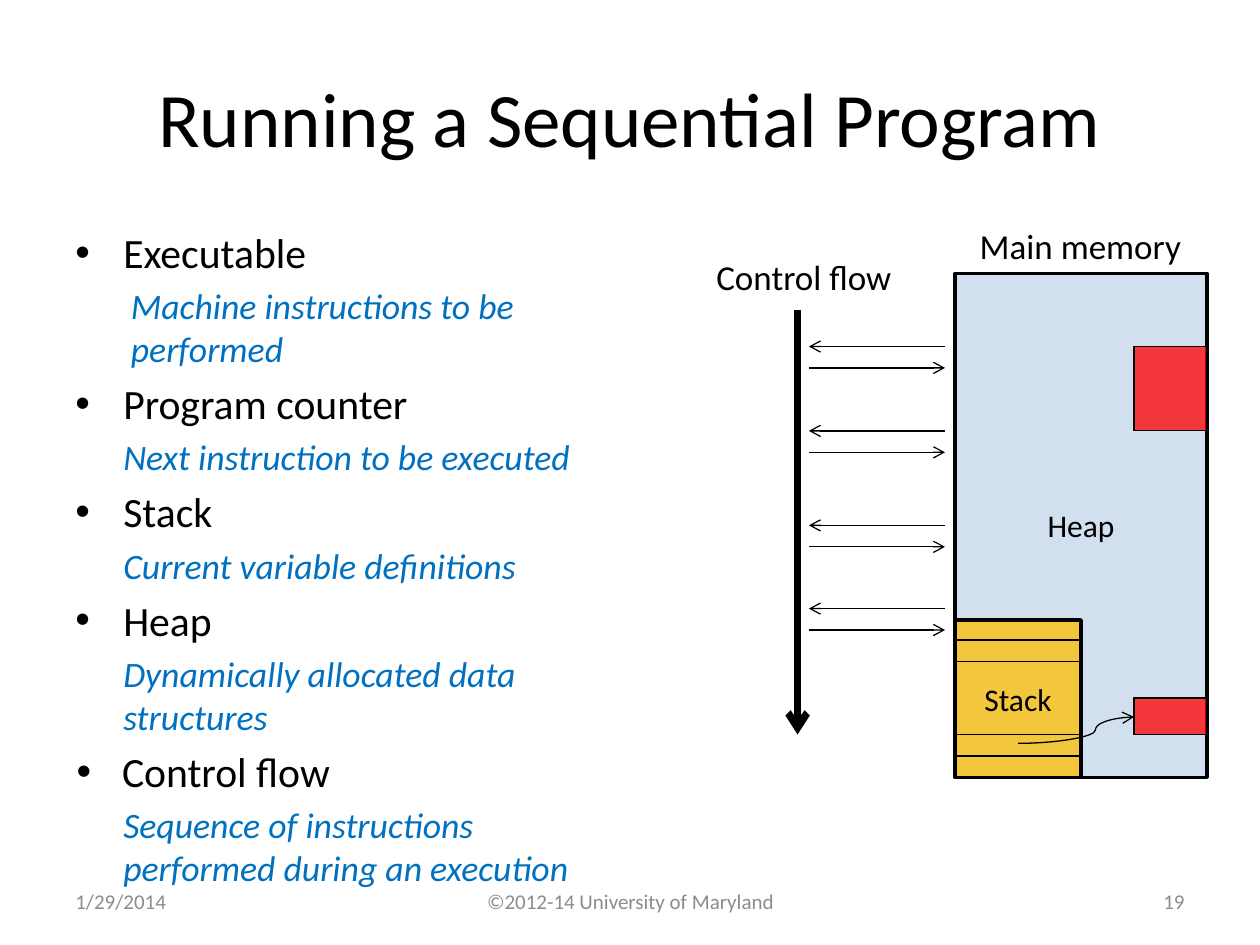
"""Build the slide on running a sequential program."""
from dataclasses import dataclass
from typing import NamedTuple

from lxml.etree import SubElement
from pptx import Presentation
from pptx.dml.color import RGBColor
from pptx.enum.shapes import MSO_CONNECTOR as Link, MSO_SHAPE as Preset
from pptx.enum.text import MSO_ANCHOR as Anchor, PP_ALIGN as Align
from pptx.oxml.ns import qn
from pptx.util import Pt

PX = 9144


@dataclass(frozen=True)
class Theme:
    font: str = "Calibri"
    ink: str = "000000"
    detail: str = "0070C0"
    footer: str = "8C8C8C"
    heap: str = "4F81BD"
    stack: str = "FFC000"
    block: str = "FF0000"
    title_size: float = 44
    topic_size: float = 23.8
    detail_size: float = 20.4
    label_size: float = 20
    memory_size: float = 18
    footer_size: float = 12
    thin: float = 0.75
    medium: float = 2
    thick: float = 4


THEME = Theme()


class Area(NamedTuple):
    left: int
    top: int
    width: int
    height: int


class Label(NamedTuple):
    text: str
    area: Area
    size: float
    color: str = THEME.ink
    align: Align = Align.CENTER
    anchor: Anchor = Anchor.MIDDLE
    wrap: bool = True


class Block(NamedTuple):
    area: Area
    color: str
    opacity: int
    width: float
    text: str = ""


class Topic(NamedTuple):
    name: str
    detail: str
    detail_indent: int = 38
    name_indent: int = 38
    hanging: int = 38


TOPICS = [
    Topic("Executable", "Machine instructions to be performed", detail_indent=44),
    Topic("Program counter", "Next instruction to be executed"),
    Topic("Stack", "Current variable definitions"),
    Topic("Heap", "Dynamically allocated data structures"),
    Topic("Control flow", "Sequence of instructions performed during an execution",
          name_indent=37, hanging=36),
]
LABELS = [
    Label("Running a Sequential Program", Area(50, 30, 900, 125), THEME.title_size),
    Label("Main memory", Area(767, 173, 181, 44), THEME.label_size,
          anchor=Anchor.TOP, wrap=False),
    Label("Control flow", Area(558, 198, 160, 44), THEME.label_size,
          anchor=Anchor.TOP, wrap=False),
    Label("1/29/2014", Area(50, 695, 233, 40), THEME.footer_size, THEME.footer, Align.LEFT),
    Label("©2012-14 University of Maryland", Area(342, 695, 317, 40),
          THEME.footer_size, THEME.footer),
    Label("19", Area(717, 695, 233, 40), THEME.footer_size, THEME.footer, Align.RIGHT),
]
HEAP = Block(Area(758, 217, 200, 400), THEME.heap, 25, THEME.medium, "Heap")
STACK = Block(Area(758, 492, 100, 125), THEME.stack, 75, THEME.medium, "Stack")
ALLOCATIONS = [
    Block(Area(900, 554, 58, 29), THEME.block, 75, THEME.thin),
    Block(Area(900, 275, 58, 67), THEME.block, 75, THEME.thin),
]
FRAME_LINES = [508, 525, 583, 600]
EXCHANGES = [275, 342, 417, 483]
EXCHANGE_GAP = 17


def style_run(para, size: float, color: str, italic: bool = False) -> None:
    for span in para.runs:
        span.font.name = THEME.font
        span.font.size = Pt(size)
        span.font.italic = italic
        span.font.color.rgb = RGBColor.from_string(color)


def add_box(page, area: Area, wrap: bool = True):
    box = page.shapes.add_textbox(*(PX * side for side in area))
    box.text_frame.word_wrap = wrap
    return box


def add_label(page, label: Label) -> None:
    frame = add_box(page, label.area, label.wrap).text_frame
    frame.vertical_anchor = label.anchor
    frame.text = label.text
    frame.paragraphs[0].alignment = label.align
    style_run(frame.paragraphs[0], label.size, label.color)


def add_block(page, block: Block) -> None:
    shape = page.shapes.add_shape(Preset.RECTANGLE, *(PX * side for side in block.area))
    shape.shadow.inherit = False
    shape.fill.solid()
    shape.fill.fore_color.rgb = RGBColor.from_string(block.color)
    color = shape.element.spPr.find(f"{qn('a:solidFill')}/{qn('a:srgbClr')}")
    SubElement(color, qn("a:alpha"), val=str(block.opacity * 1000))
    shape.line.color.rgb = RGBColor.from_string(THEME.ink)
    shape.line.width = Pt(block.width)
    if block.text:
        frame = shape.text_frame
        frame.vertical_anchor = Anchor.MIDDLE
        frame.text = block.text
        frame.paragraphs[0].alignment = Align.CENTER
        style_run(frame.paragraphs[0], THEME.memory_size, THEME.ink)


def add_line(page, start: tuple[int, int], end: tuple[int, int],
             width: float = THEME.thin, arrow: bool = False, kind: Link = Link.STRAIGHT):
    line = page.shapes.add_connector(kind, *(PX * place for place in start + end))
    line.line.color.rgb = RGBColor.from_string(THEME.ink)
    line.line.width = Pt(width)
    properties = line.element.spPr
    if arrow:
        SubElement(properties.find(qn("a:ln")), qn("a:tailEnd"), type="arrow")
    SubElement(properties, qn("a:effectLst"))
    return line


def indent(para, margin: int, first: int) -> None:
    properties = para._p.get_or_add_pPr()
    properties.set("marL", str(margin * PX))
    properties.set("indent", str(first * PX))


def add_topics(page, topics: list[Topic], area: Area) -> None:
    frame = add_box(page, area).text_frame
    frame.text = "\n".join(line for topic in topics for line in (topic.name, topic.detail))
    names, details = frame.paragraphs[::2], frame.paragraphs[1::2]
    for topic, name, detail in zip(topics, names, details):
        name.space_before = Pt(THEME.topic_size * 0.2)
        indent(name, topic.name_indent, -topic.hanging)
        properties = name._p.get_or_add_pPr()
        SubElement(properties, qn("a:buFont"), typeface="Arial")
        SubElement(properties, qn("a:buChar"), char="•")
        style_run(name, THEME.topic_size, THEME.ink)
        detail.level = 1
        detail.space_before = Pt(THEME.detail_size * 0.2)
        indent(detail, topic.detail_indent, 0)
        style_run(detail, THEME.detail_size, THEME.detail, italic=True)


def add_pointer(page, start: tuple[int, int], end: tuple[int, int], bend: int) -> None:
    curve = add_line(page, start, end, arrow=True, kind=Link.CURVE)
    guides = curve.element.spPr.find(qn("a:prstGeom")).get_or_add_avLst()
    SubElement(guides, qn("a:gd"), name="adj1", fmla=f"val {bend}")


def main() -> None:
    deck = Presentation()
    deck.slide_width, deck.slide_height = 1000 * PX, 750 * PX
    page = deck.slides.add_slide(deck.slide_layouts[6])
    add_topics(page, TOPICS, Area(50, 175, 442, 495))
    for block in (HEAP, STACK):
        add_block(page, block)
    for label in LABELS:
        add_label(page, label)
    left, right = STACK.area.left, STACK.area.left + STACK.area.width
    for top in FRAME_LINES:
        add_line(page, (left, top), (right, top))
    add_line(page, (633, 246), (633, 583), THEME.thick, arrow=True)
    for top in EXCHANGES:
        add_line(page, (642, top + EXCHANGE_GAP), (750, top + EXCHANGE_GAP), arrow=True)
        add_line(page, (750, top), (642, top), arrow=True)
    for block in ALLOCATIONS:
        add_block(page, block)
    add_pointer(page, (808, 590), (900, 569), 66700)
    deck.save("out.pptx")


if __name__ == "__main__":
    main()
